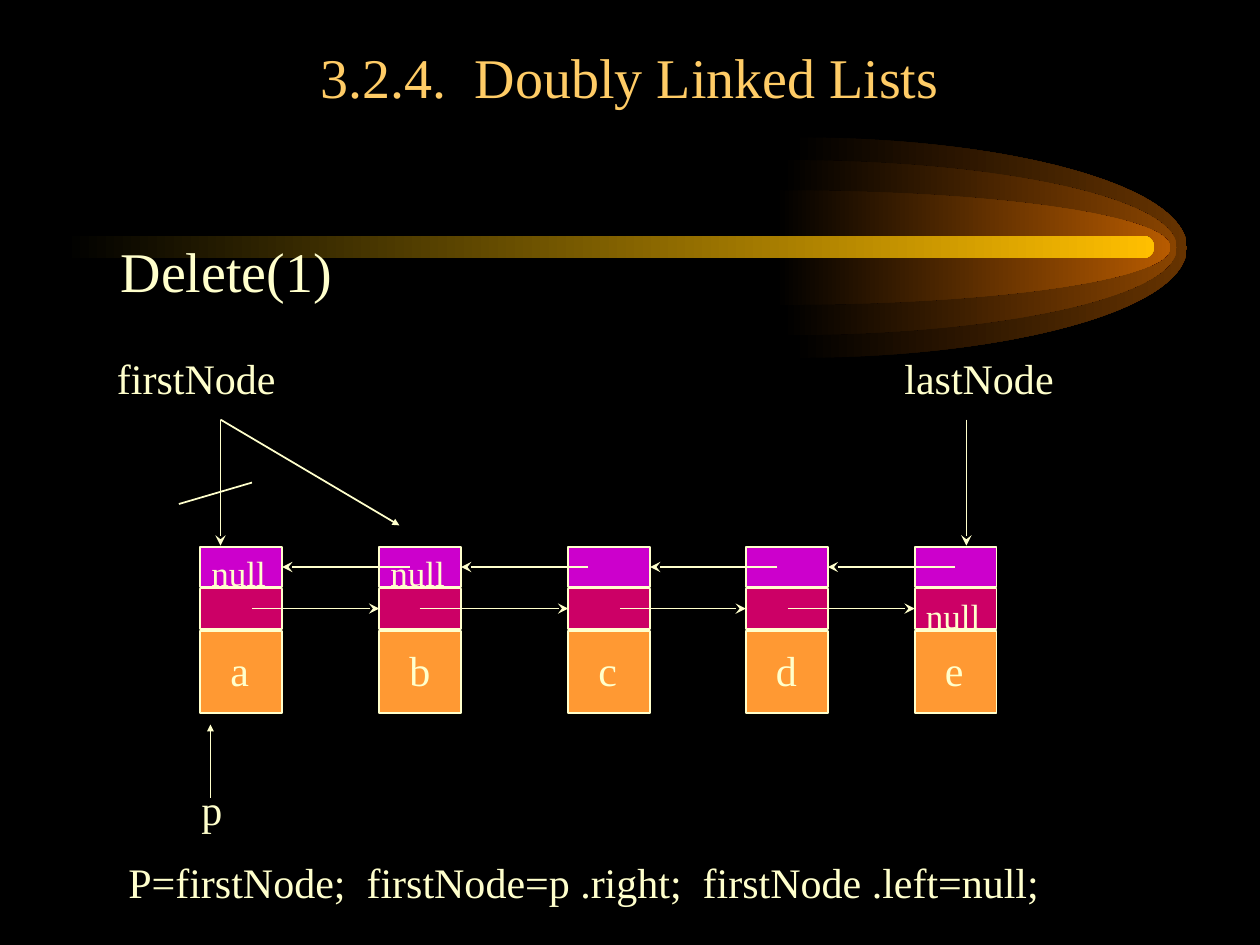
from lxml.etree import SubElement
from pptx import Presentation
from pptx.dml.color import RGBColor
from pptx.enum.shapes import MSO_CONNECTOR, MSO_SHAPE
from pptx.enum.text import MSO_ANCHOR, PP_ALIGN
from pptx.oxml.ns import qn
from pptx.util import Inches, Pt

FONT = "Times New Roman"
CREAM, GOLD, BLACK = "FFFFCC", "FFCC66", "000000"
TITLE = "3.2.4.  Doubly Linked Lists"
COMET_TAIL = [
    (6.29, 1.09, 1.75, "663300"),
    (6.21, 1.27, 1.39, "894400"),
    (6.16, 1.51, 0.91, "B75B00"),
]
COMET_LENGTH = 3.13
HALF_ELLIPSE = [
    [(0.55, 0), (1, 0.22), (1, 0.5)],
    [(1, 0.78), (0.55, 1), (0, 1)],
]
NODES = [("a", 1.59), ("b", 3.01), ("c", 4.51), ("d", 5.92), ("e", 7.26)]
NODE_WIDTH = 0.65
CELLS = {
    "data": (5.01, 0.65, "FF9933"),
    "right": (4.67, 0.32, "CC0066"),
    "left": (4.34, 0.32, "CC00CC"),
}
RIGHT_LINK_STARTS = [2, 3.33, 4.92, 6.25]
LEFT_LINK_STARTS = [3.25, 4.67, 6.17, 7.58]
LABELS = [
    ("Delete(1)", 0.86, 1.83, 8.39, 4.5, 32),
    ("firstNode", 0.83, 2.75, 1.83, 0.5, 24),
    ("lastNode", 7.08, 2.75, 1.83, 0.5, 24),
    ("null", 1.58, 4.33, 0.67, 0.43, 20),
    ("null", 3, 4.33, 0.75, 0.44, 20),
    ("null", 7.25, 4.67, 0.67, 0.43, 20),
    ("p", 1.5, 6.17, 0.5, 0.5, 24),
    ("P=firstNode;  firstNode=p .right;  firstNode .left=null;", 0.92, 6.75, 7.92, 0.5, 24),
]
POINTERS = [
    ((1.75, 3.33), (1.75, 4.33), "stealth", "med"),
    ((7.67, 3.33), (7.67, 4.33), "stealth", "med"),
    ((1.67, 6.33), (1.67, 5.75), "triangle", "sm"),
    ((1.75, 3.33), (3.17, 4.17), "triangle", "sm"),
    ((2, 3.83), (1.42, 4), None, None),
]


def color(hex_text):
    """Turn a hex string into a colour."""
    return RGBColor.from_string(hex_text)


def write(shape, text, size, hex_text, align=PP_ALIGN.LEFT, anchor=MSO_ANCHOR.TOP):
    """Put one run of text into a shape."""
    frame = shape.text_frame
    frame.word_wrap = True
    frame.vertical_anchor = anchor
    paragraph = frame.paragraphs[0]
    paragraph.alignment = align
    run = paragraph.add_run()
    run.text = text
    run.font.name = FONT
    run.font.size = Pt(size)
    run.font.color.rgb = color(hex_text)


def add_label(slide, text, left, top, width, height, size):
    """Add a text box with one run."""
    box = slide.shapes.add_textbox(Inches(left), Inches(top), Inches(width), Inches(height))
    write(box, text, size, CREAM)


def fade(shape, hex_text):
    """Fill a shape from black on the left to a colour on the right."""
    shape.shadow.inherit = False
    shape.line.fill.background()
    shape.fill.gradient()
    shape.fill.gradient_angle = 0
    for stop, position, stop_color in zip(shape.fill.gradient_stops, (0, 1), (BLACK, hex_text)):
        stop.position = position
        stop.color.rgb = color(stop_color)


def add_half_ellipse(slide, left, top, height, hex_text):
    """Draw the right half of an ellipse with two curves."""
    ends = [
        (Inches(left + COMET_LENGTH * curve[-1][0]), Inches(top + height * curve[-1][1]))
        for curve in HALF_ELLIPSE
    ]
    builder = slide.shapes.build_freeform(Inches(left), Inches(top))
    builder.add_line_segments(ends, close=True)
    shape = builder.convert_to_shape()
    segments = list(shape._element.iter(qn("a:lnTo")))
    for segment, curve in zip(segments, HALF_ELLIPSE):
        segment.tag = qn("a:cubicBezTo")
        segment.remove(segment[0])
        for across, down in curve:
            x, y = round(shape.width * across), round(shape.height * down)
            SubElement(segment, qn("a:pt"), x=str(x), y=str(y))
    fade(shape, hex_text)


def add_comet(slide):
    """Draw the glowing half ellipses and the bar."""
    for layer in COMET_TAIL:
        add_half_ellipse(slide, *layer)
    bar = slide.shapes.add_shape(
        MSO_SHAPE.ROUNDED_RECTANGLE, Inches(0.5), Inches(1.87), Inches(8.66), Inches(0.18)
    )
    bar.adjustments[0] = 0.5
    fade(bar, "FFBF00")


def add_cell(slide, left, cell):
    """Draw one cell of a node."""
    top, height, hex_text = CELLS[cell]
    shape = slide.shapes.add_shape(
        MSO_SHAPE.RECTANGLE, Inches(left), Inches(top), Inches(NODE_WIDTH), Inches(height)
    )
    shape.shadow.inherit = False
    shape.fill.solid()
    shape.fill.fore_color.rgb = color(hex_text)
    shape.line.color.rgb = color(CREAM)
    shape.line.width = Pt(1)
    return shape


def add_line(slide, start, end, head=None, head_size="med"):
    """Draw a line, with an arrowhead at its end if one is named."""
    line = slide.shapes.add_connector(
        MSO_CONNECTOR.STRAIGHT, *(Inches(value) for value in (*start, *end))
    )
    line.line.color.rgb = color(CREAM)
    line.line.width = Pt(1)
    if head:
        outline = line.line._get_or_add_ln()
        SubElement(outline, qn("a:tailEnd"), type=head, w=head_size, len=head_size)
    SubElement(line._element.spPr, qn("a:effectLst"))
    return line


def add_links(slide, nodes):
    """Join each node to its neighbours in both directions."""
    pairs = zip(nodes, nodes[1:], RIGHT_LINK_STARTS, LEFT_LINK_STARTS)
    for node, following, right_start, left_start in pairs:
        for cell, start, target, side in (
            ("right", right_start, following, 1),
            ("left", left_start, node, 3),
        ):
            top, height, _ = CELLS[cell]
            middle = top + height / 2
            link = add_line(slide, (start, middle), (start, middle), "stealth")
            link.end_connect(target[cell], side)


def main():
    """Build the slide and save it."""
    presentation = Presentation()
    presentation.slide_width, presentation.slide_height = Inches(10), Inches(7.5)
    slide = presentation.slides.add_slide(presentation.slide_layouts[5])
    slide.background.fill.solid()
    slide.background.fill.fore_color.rgb = color(BLACK)

    title = slide.shapes.title
    title.left, title.top = Inches(0.75), Inches(0.25)
    title.width, title.height = Inches(8.5), Inches(0.67)
    write(title, TITLE, 32, GOLD, PP_ALIGN.CENTER, MSO_ANCHOR.BOTTOM)

    add_comet(slide)
    nodes = []
    for letter, left in NODES:
        nodes.append({cell: add_cell(slide, left, cell) for cell in CELLS})
        add_label(slide, letter, left + 0.14, 5.07, 0.37, 0.5, 24)
    add_links(slide, nodes)
    for pointer in POINTERS:
        add_line(slide, *pointer)
    for label in LABELS:
        add_label(slide, *label)
    presentation.save("out.pptx")


if __name__ == "__main__":
    main()
